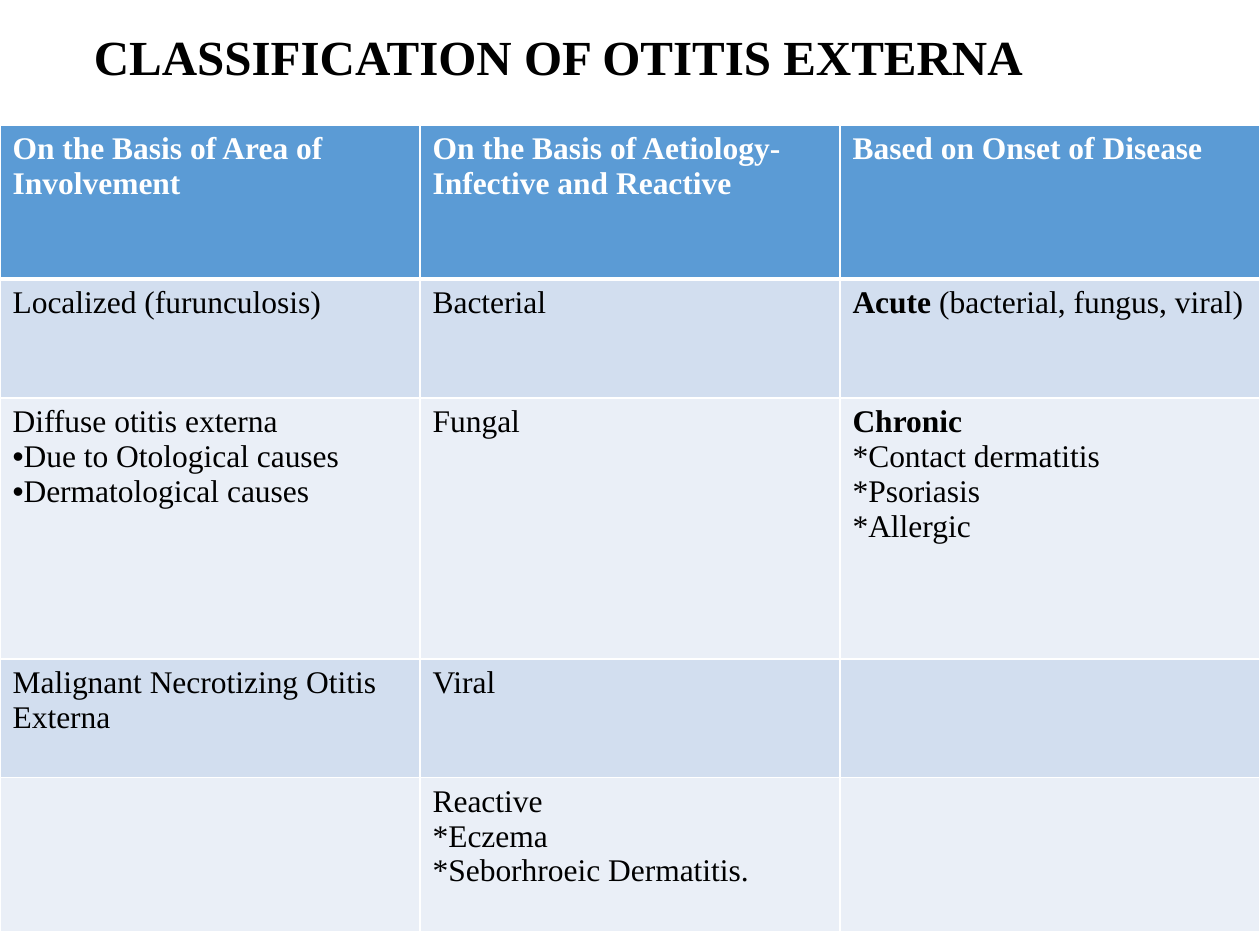
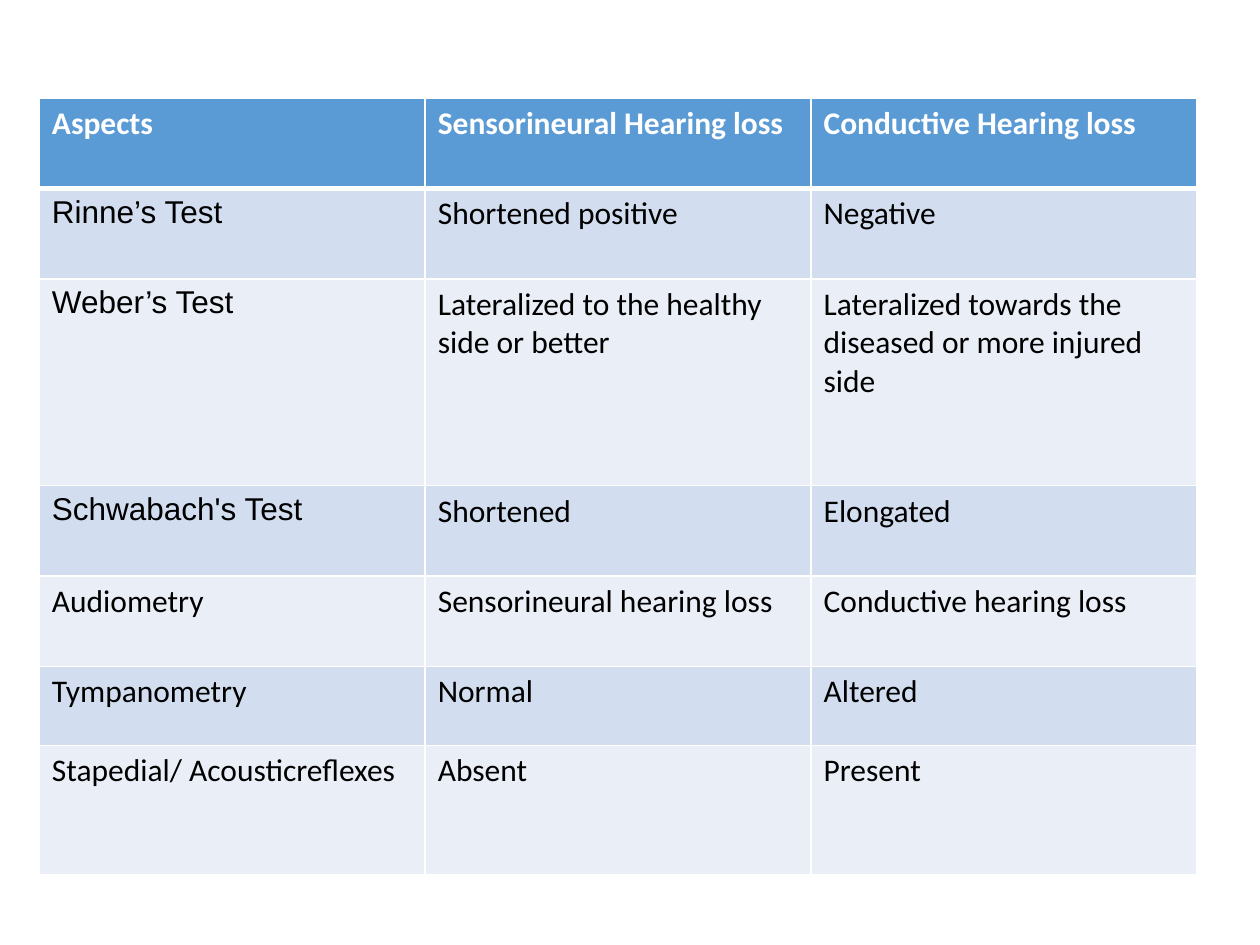
from dataclasses import dataclass

from lxml.etree import SubElement
from pptx import Presentation
from pptx.dml.color import RGBColor as Rgb
from pptx.enum.text import MSO_ANCHOR as Anchor, PP_ALIGN as Align
from pptx.oxml.ns import qn
from pptx.util import Pt


# Shared look
@dataclass(frozen=True)
class Theme:
    head: str = "5B9BD5"
    bands: tuple[str, str] = ("D2DEEF", "EAEFF7")
    white: str = "FFFFFF"
    black: str = "000000"
    serif: str = "Times New Roman"
    sans: str = "Calibri"
    plain: str = "Arial"
    title: int = 28
    body: int = 18
    thin: int = 1
    thick: int = 3


THEME = Theme()


@dataclass(frozen=True)
class Line:
    text: str = ""
    lead: str = ""  # bold opening words
    bullet: bool = False


@dataclass(frozen=True)
class Cell:
    lines: tuple[Line, ...]
    font: str = ""  # replaces the font of the grid


@dataclass(frozen=True)
class Grid:
    left: float
    top: float
    width: float
    heights: tuple[float, ...]
    font: str
    rows: tuple[tuple[str | Cell, ...], ...]


# Text
def write(frame, lines, *, font, size=THEME.body, color=THEME.black,
          bold=False, align=Align.LEFT, spacing=None) -> None:
    for i, line in enumerate(lines):
        para = frame.paragraphs[0] if i == 0 else frame.add_paragraph()
        if line.bullet:
            props = para._p.get_or_add_pPr()
            props.set("marL", "0")
            props.set("indent", "0")
            SubElement(props, qn("a:buFont"), typeface=THEME.plain)
            SubElement(props, qn("a:buChar"), char="•")
        para.alignment = align
        if spacing:
            para.line_spacing = spacing
        for words, strong in ((line.lead, True), (line.text, bold)):
            if words:
                run = para.add_run()
                run.text = words
                run.font.name = font
                run.font.size = Pt(size)
                run.font.bold = strong
                run.font.color.rgb = Rgb.from_string(color)


def add_title(slide, text: str) -> None:
    box = slide.shapes.add_textbox(Pt(34), Pt(14.4), Pt(570), Pt(39.6))
    frame = box.text_frame
    frame.word_wrap = True
    frame.vertical_anchor = Anchor.MIDDLE
    write(frame, [Line(text)], font=THEME.serif, size=THEME.title,
          bold=True, align=Align.CENTER, spacing=0.9)


# Tables
def edge(cell, side: str, width: float) -> None:
    props = cell._tc.get_or_add_tcPr()
    rule = SubElement(props, qn(f"a:ln{side}"), w=str(Pt(width)))
    fill = SubElement(rule, qn("a:solidFill"))
    SubElement(fill, qn("a:srgbClr"), val=THEME.white)


def add_grid(slide, grid: Grid) -> None:
    count = len(grid.rows[0])
    table = slide.shapes.add_table(
        len(grid.rows), count, Pt(grid.left), Pt(grid.top),
        Pt(grid.width), Pt(sum(grid.heights))).table
    for col in table.columns:
        col.width = Pt(grid.width / count)
    for r, (row, height) in enumerate(zip(grid.rows, grid.heights)):
        table.rows[r].height = Pt(height)
        head = r == 0
        for c, item in enumerate(row):
            cell = table.cell(r, c)
            for side in "LRTB":
                under = (r, side) in ((0, "B"), (1, "T"))
                edge(cell, side, THEME.thick if under else THEME.thin)
            shade = THEME.head if head else THEME.bands[(r - 1) % 2]
            cell.fill.solid()
            cell.fill.fore_color.rgb = Rgb.from_string(shade)
            data = item if isinstance(item, Cell) else Cell((Line(item),))
            write(cell.text_frame, data.lines, font=data.font or grid.font,
                  color=THEME.white if head else THEME.black, bold=head)


def stack(*lines: str | Line) -> Cell:
    return Cell(tuple(Line(x) if isinstance(x, str) else x for x in lines))


def test(name: str) -> Cell:
    return Cell((Line(f"{name} Test"),), THEME.plain)


# Content
TYPES = Grid(
    0, 71.5, 720, (88, 68, 149, 68, 88), THEME.serif,
    (
        ("On the Basis of Area of Involvement",
         "On the Basis of Aetiology- Infective and Reactive",
         "Based on Onset of Disease"),
        ("Localized (furunculosis)", "Bacterial",
         stack(Line(" (bacterial, fungus, viral)", lead="Acute"))),
        (stack("Diffuse otitis externa",
               Line("Due to Otological causes", bullet=True),
               Line("Dermatological causes", bullet=True)),
         "Fungal",
         stack(Line(lead="Chronic"), "*Contact dermatitis", "*Psoriasis",
               "*Allergic")),
        ("Malignant Necrotizing Otitis Externa", "Viral", ""),
        ("", stack("Reactive", "*Eczema", "*Seborhroeic Dermatitis."), ""),
    ),
)

TESTS = Grid(
    22.5, 56, 661.5, (51.7, 51.7, 118.2, 51.7, 51.7, 45.2, 74), THEME.sans,
    (
        ("Aspects", "Sensorineural Hearing loss", "Conductive Hearing loss"),
        (test("Rinne’s"), "Shortened positive", "Negative"),
        (test("Weber’s"), "Lateralized to the healthy side or better",
         "Lateralized towards the diseased or more injured side"),
        (test("Schwabach's"), "Shortened", "Elongated"),
        ("Audiometry", "Sensorineural hearing loss",
         "Conductive hearing loss"),
        ("Tympanometry", "Normal", "Altered"),
        ("Stapedial/ Acousticreflexes", "Absent", "Present"),
    ),
)


def main() -> None:
    deck = Presentation()
    deck.slide_width, deck.slide_height = Pt(720), Pt(540)
    blank = deck.slide_layouts[6]

    # Slide 1: kinds of otitis externa
    slide = deck.slides.add_slide(blank)
    add_title(slide, "CLASSIFICATION OF OTITIS EXTERNA")
    add_grid(slide, TYPES)

    # Slide 2: hearing tests
    add_grid(deck.slides.add_slide(blank), TESTS)

    deck.save("out.pptx")


if __name__ == "__main__":
    main()
